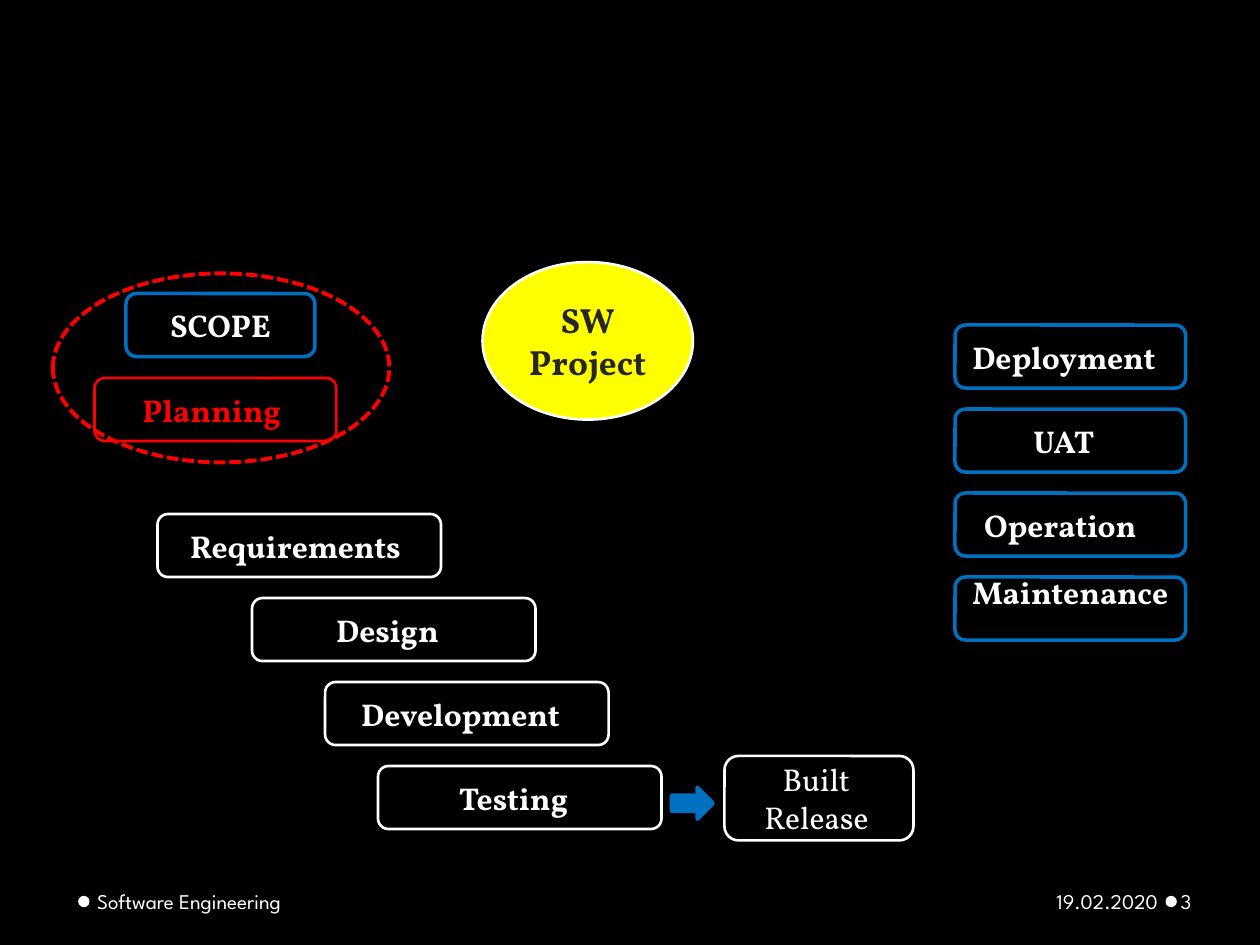
from dataclasses import dataclass

from pptx import Presentation
from pptx.dml.color import RGBColor
from pptx.enum.dml import MSO_LINE
from pptx.enum.shapes import MSO_SHAPE
from pptx.enum.text import MSO_ANCHOR, PP_ALIGN
from pptx.util import Inches, Pt


@dataclass(frozen=True)
class Theme:
    black: str = "000000"
    white: str = "FFFFFF"
    ink: str = "262626"
    blue: str = "0070C0"
    red: str = "FF0000"
    yellow: str = "FFFF00"
    body_font: str = "Vollkorn"
    footer_font: str = "League Spartan"
    large: int = 20
    body: int = 18
    footer: int = 12


class Deck:
    """Draws styled elements on the current slide."""

    def __init__(self, theme):
        self.theme = theme
        self.presentation = Presentation()
        self.presentation.slide_width = Inches(10)
        self.presentation.slide_height = Inches(7.5)

    def add_slide(self):
        self.slide = self.presentation.slides.add_slide(self.presentation.slide_layouts[6])
        fill = self.slide.background.fill
        fill.solid()
        fill.fore_color.rgb = RGBColor.from_string(self.theme.black)

    def label(self, shape, text, size, color, font, bold=False,
              align=PP_ALIGN.CENTER, insets=(0.1, 0.05, 0.1, 0.05)):
        frame = shape.text_frame
        frame.word_wrap = True
        frame.vertical_anchor = MSO_ANCHOR.MIDDLE
        (frame.margin_left, frame.margin_top,
         frame.margin_right, frame.margin_bottom) = map(Inches, insets)
        frame.text = text
        for paragraph in frame.paragraphs:
            paragraph.alignment = align
            style = paragraph.font
            style.size, style.name, style.bold = Pt(size), font, bold
            style.color.rgb = RGBColor.from_string(color)

    def shape(self, kind, place, fill=None, line=None, width=1.5, dash=None):
        shape = self.slide.shapes.add_shape(kind, *map(Inches, place))
        shape.shadow.inherit = False
        if fill:
            shape.fill.solid()
            shape.fill.fore_color.rgb = RGBColor.from_string(fill)
        else:
            shape.fill.background()
        if line:
            shape.line.color.rgb = RGBColor.from_string(line)
            shape.line.width = Pt(width)
            if dash:
                shape.line.dash_style = dash
        else:
            shape.line.fill.background()
        return shape

    def box(self, text, place, line, width=1.5, color=None, bold=True, shift=0.0):
        shape = self.shape(MSO_SHAPE.ROUNDED_RECTANGLE, place, line=line, width=width)
        self.label(shape, text, self.theme.body, color or self.theme.white,
                   self.theme.body_font, bold, insets=(0.1 - shift, 0.05, 0.1 + shift, 0.05))
        return shape

    def footer(self, text, left, width, insets, align=PP_ALIGN.LEFT):
        box = self.slide.shapes.add_textbox(
            Inches(left), Inches(6.95), Inches(width), Inches(0.4))
        self.label(box, text, self.theme.footer, self.theme.white,
                   self.theme.footer_font, align=align, insets=insets)

    def bullet(self, left):
        self.shape(MSO_SHAPE.OVAL, (left, 7.11, 0.09, 0.09), fill=self.theme.white)


def build():
    theme = Theme()
    deck = Deck(theme)
    deck.add_slide()

    for left in (9.25, 0.62):
        deck.bullet(left)
    deck.footer("Software Engineering", 0.72, 3.11, (0.05, 0.05, 0.1, 0.05))
    deck.footer("3", 9.34, 0.61, (0.03, 0.05, 0.05, 0.05))

    project = deck.shape(MSO_SHAPE.OVAL, (3.83, 2.08, 1.67, 1.25), theme.yellow, theme.white)
    deck.label(project, "SW\nProject", theme.large, theme.ink, theme.body_font, bold=True)

    deck.box("SCOPE", (1, 2.33, 1.5, 0.5), theme.blue, 2)
    deck.box("Planning", (0.75, 3, 1.92, 0.5), theme.red, color=theme.red, shift=0.03)

    step = 2 / 3
    phases = (("Requirements", 1.25, 0.03), ("Design", 2, 0.05),
              ("Development", 2.58, 0.05), ("Testing", 3, 0.05))
    for row, (name, left, shift) in enumerate(phases):
        deck.box(name, (left, 4.08 + row * step, 2.25, 0.5), theme.white, shift=shift)
    deck.box("Built\nRelease", (5.75, 6, 1.5, 0.67), theme.white, bold=False, shift=0.02)

    stages = (("Deployment", 0.05), ("UAT", 0.05), ("Operation", 0.08), ("Maintenance", 0))
    for row, (name, shift) in enumerate(stages):
        stage = deck.box(name, (7.58, 2.58 + row * step, 1.83, 0.5), theme.blue, 2, shift=shift)
    stage.text_frame.vertical_anchor = MSO_ANCHOR.TOP
    stage.text_frame.margin_top = Inches(-0.06)

    deck.shape(MSO_SHAPE.RIGHT_ARROW, (5.33, 6.25, 0.33, 0.25), theme.blue, theme.blue, 2.25)
    deck.shape(MSO_SHAPE.OVAL, (0.42, 2.17, 2.67, 1.5), line=theme.red, width=2.25,
               dash=MSO_LINE.SQUARE_DOT)
    deck.footer("19.02.2020", 6.96, 2.28, (0.1, 0.05, 0.05, 0.05), PP_ALIGN.RIGHT)

    deck.presentation.save("out.pptx")


build()
